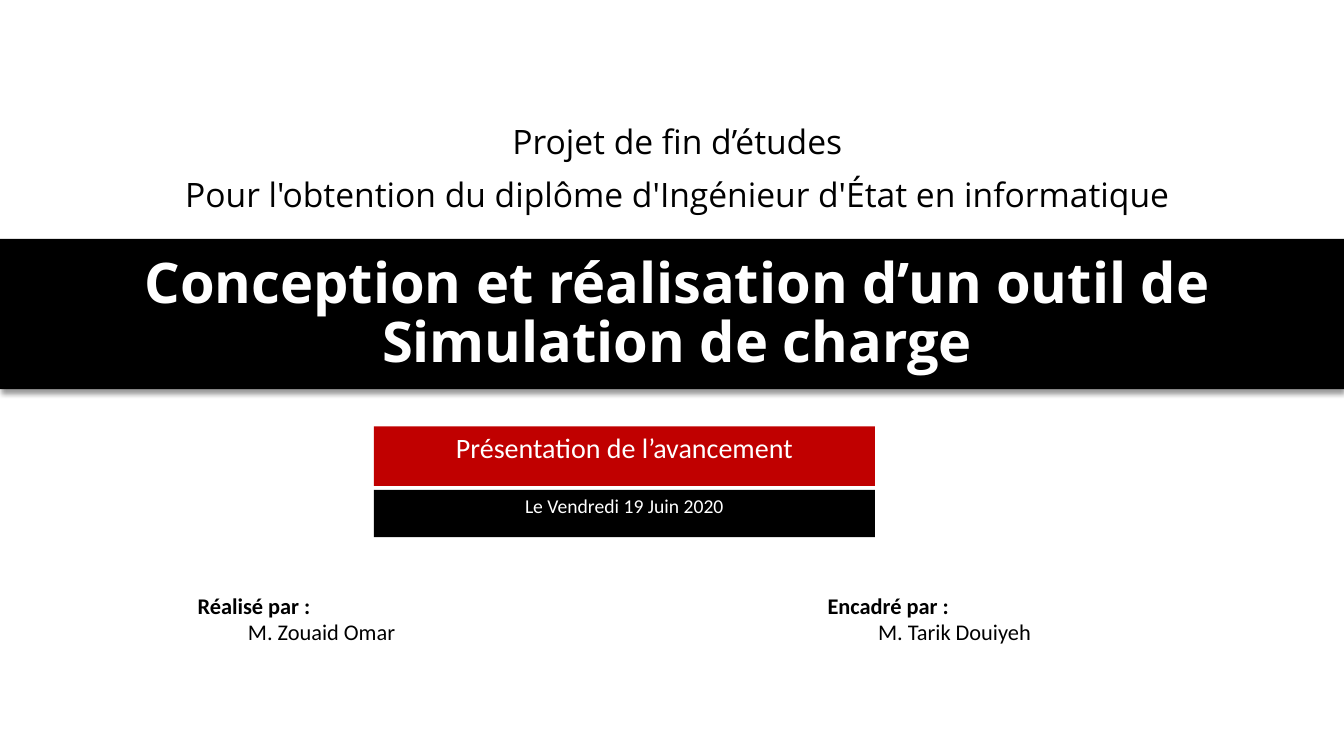
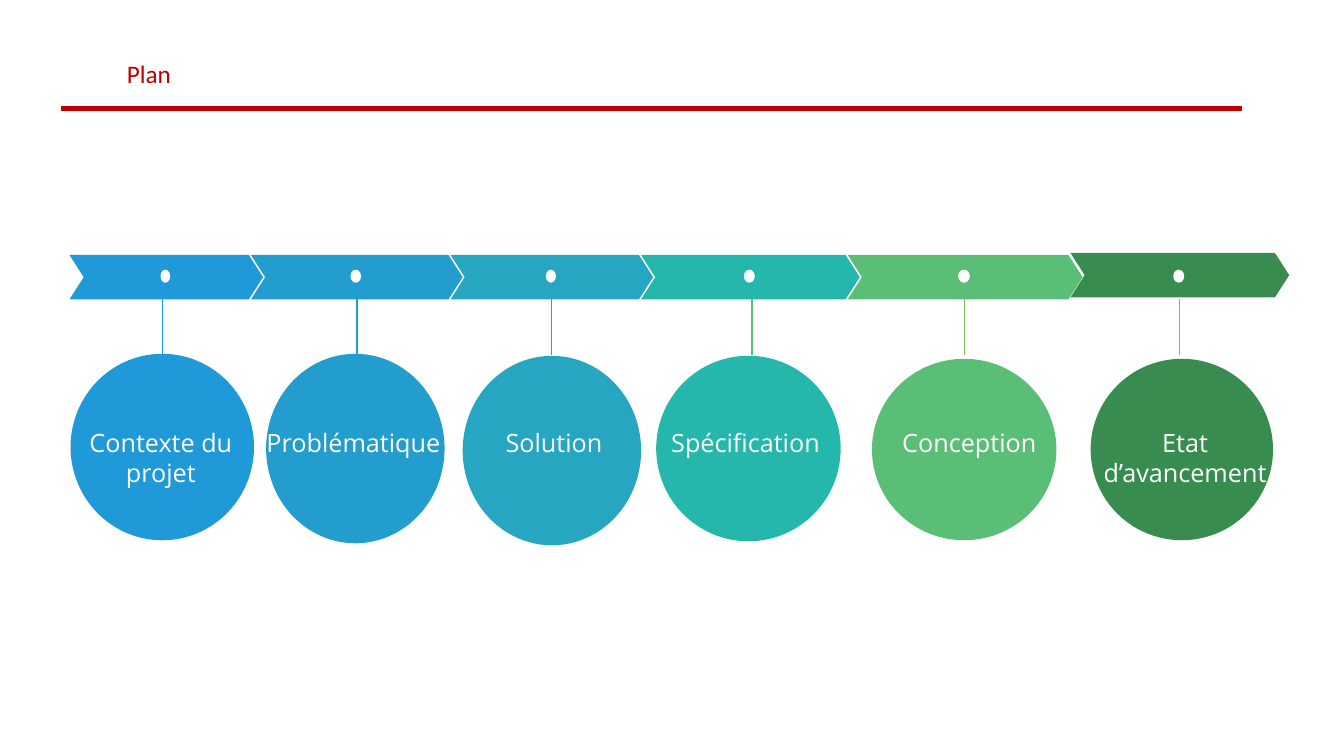
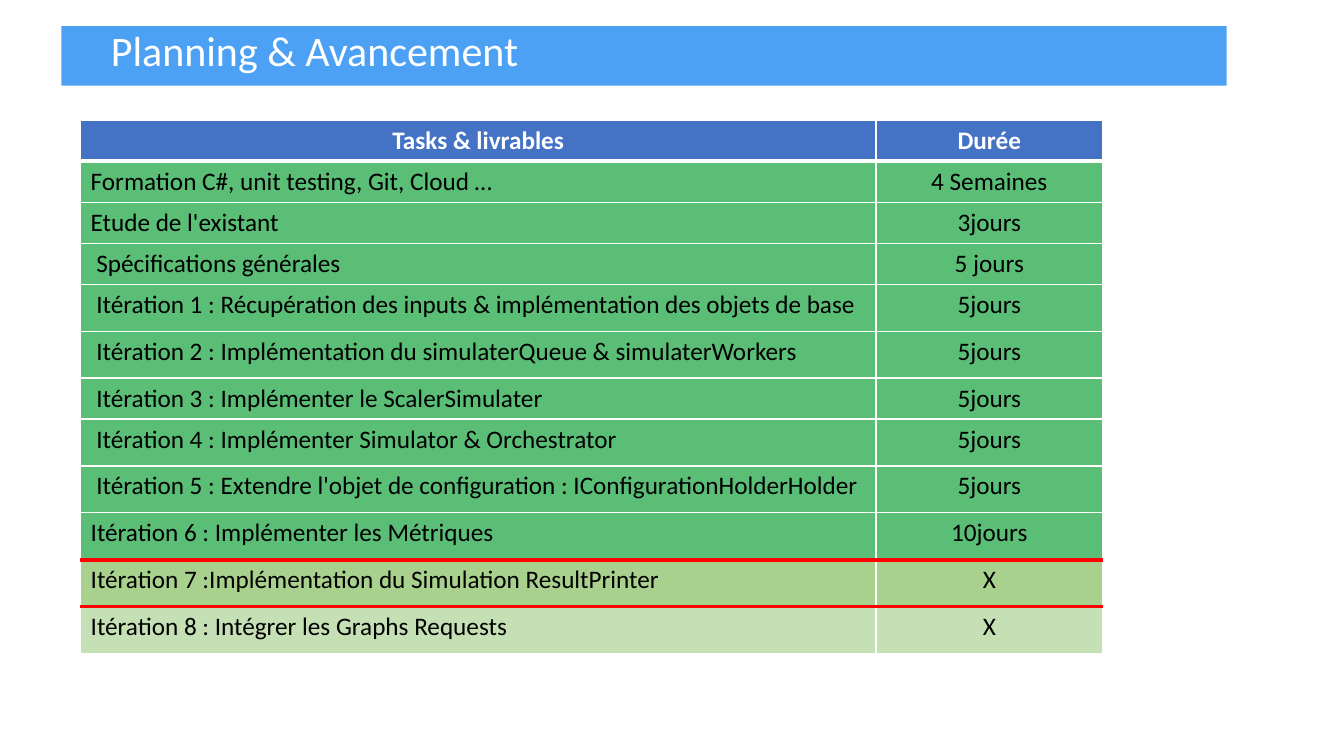
import collections

import lxml.etree
import pptx
import pptx.dml.color
import pptx.enum.shapes
import pptx.enum.text
import pptx.oxml.ns
import pptx.util

WIDTH = pptx.util.Inches(13.33)
HEIGHT = pptx.util.Inches(7.5)
COLUMNS, ROWS = 40, 30

WHITE = pptx.dml.color.RGBColor(0xFF, 0xFF, 0xFF)
BLACK = pptx.dml.color.RGBColor(0x00, 0x00, 0x00)
CRIMSON = pptx.dml.color.RGBColor(0xC0, 0x00, 0x00)
RED = pptx.dml.color.RGBColor(0xFF, 0x00, 0x00)
SKY = pptx.dml.color.RGBColor(0x4C, 0xA1, 0xF4)
HEADER_BLUE = pptx.dml.color.RGBColor(0x44, 0x72, 0xC4)
AZURE = pptx.dml.color.RGBColor(0x20, 0x99, 0xD8)
OCEAN = pptx.dml.color.RGBColor(0x23, 0x9C, 0xCE)
LAGOON = pptx.dml.color.RGBColor(0x27, 0xA6, 0xC2)
TEAL = pptx.dml.color.RGBColor(0x25, 0xB7, 0xAB)
GREEN = pptx.dml.color.RGBColor(0x5B, 0xBE, 0x77)
FOREST = pptx.dml.color.RGBColor(0x38, 0x8C, 0x50)
LIME = pptx.dml.color.RGBColor(0x7E, 0xC4, 0x4E)
SAGE = pptx.dml.color.RGBColor(0xA9, 0xD1, 0x8E)
PALE_GREEN = pptx.dml.color.RGBColor(0xC5, 0xE0, 0xB4)

SHAPE = pptx.enum.shapes.MSO_SHAPE
ALIGN = pptx.enum.text.PP_ALIGN
ANCHOR = pptx.enum.text.MSO_ANCHOR

HEADING = {"line_spacing": 0.9}
CENTERED = {"alignment": ALIGN.CENTER}


def margins(horizontal, vertical):
    return {
        "margin_left": pptx.util.Inches(horizontal),
        "margin_right": pptx.util.Inches(horizontal),
        "margin_top": pptx.util.Inches(vertical),
        "margin_bottom": pptx.util.Inches(vertical),
    }


TIGHT = margins(0.04, 0.04)
BOTTOM = {"vertical_anchor": ANCHOR.BOTTOM}

Stage = collections.namedtuple(
    "Stage", "name color stem_color chevron_width chevron_row circle stem_column label_center"
)
STAGES = [
    Stage("Contexte du projet", AZURE, AZURE, 5.76, 10.12, (2.1, 14.04, 5.46, 7.4), 4.83, 4.79),
    Stage("Problématique", OCEAN, OCEAN, 6.3, 10.12, (7.92, 14.04, 5.31, 7.52), 10.62, 10.52),
    Stage("Solution", LAGOON, LAGOON, 6.03, 10.12, (13.77, 14.12, 5.31, 7.52), 16.41, 16.49),
    Stage("Spécification", TEAL, GREEN, 6.51, 10.12, (19.53, 14.12, 5.49, 7.36), 22.38, 22.19),
    Stage("Conception", GREEN, LIME, 6.99, 10.12, (25.95, 14.24, 5.49, 7.2), 28.71, 28.85),
    Stage("Etat d’avancement", FOREST, LIME, 6.51, 10.04, (32.46, 14.24, 5.43, 7.2), 35.1, 35.27),
]

SHORT, TALL = 1.63, 1.86
TASKS = [
    ("Tasks & livrables", "Durée", SHORT, HEADER_BLUE),
    ("Formation C#, unit testing, Git, Cloud …", "4 Semaines", SHORT, GREEN),
    ("Etude de l'existant", "3jours", SHORT, GREEN),
    (" Spécifications générales", "5 jours", SHORT, GREEN),
    (" Itération 1 : Récupération des inputs & implémentation des objets de base", "5jours", TALL, GREEN),
    (" Itération 2 : Implémentation du simulaterQueue & simulaterWorkers", "5jours", TALL, GREEN),
    (" Itération 3 : Implémenter le ScalerSimulater", "5jours", SHORT, GREEN),
    (" Itération 4 : Implémenter Simulator & Orchestrator", "5jours", TALL, GREEN),
    (" Itération 5 : Extendre l'objet de configuration : IConfigurationHolderHolder", "5jours", TALL, GREEN),
    ("Itération 6 : Implémenter les Métriques", "10jours", TALL, GREEN),
    ("Itération 7 :Implémentation du Simulation ResultPrinter", "X", TALL, SAGE),
    ("Itération 8 : Intégrer les Graphs Requests", "X", TALL, PALE_GREEN),
]
THIN_EDGE = (WHITE, 1)
HEAVY_EDGES = {1: (WHITE, 3), 10: (RED, 3), 11: (RED, 3)}


def across(columns):
    return round(WIDTH * columns / COLUMNS)


def down(rows):
    return round(HEIGHT * rows / ROWS)


def place(box):
    column, row, width, height = box
    return across(column), down(row), across(width), down(height)


def apply(target, values):
    for name, value in values.items():
        setattr(target, name, value)


def add_xml(parent, tag, **attributes):
    return lxml.etree.SubElement(parent, pptx.oxml.ns.qn(tag), attributes)


def font_of(size, name="Calibri", bold=False):
    return {"size": pptx.util.Pt(size), "name": name, "bold": bold}


def write(frame, lines, font, color, paragraph_format=None, frame_format=None):
    apply(frame, {"word_wrap": True, "vertical_anchor": ANCHOR.TOP, **(frame_format or {})})
    for index, line in enumerate(lines):
        paragraph = frame.paragraphs[0] if index == 0 else frame.add_paragraph()
        apply(paragraph, {"alignment": ALIGN.LEFT, **(paragraph_format or {})})
        run = paragraph.add_run()
        run.text = line
        apply(run.font, font)
        run.font.color.rgb = color
    return frame


def add_text(slide, box, *text):
    return write(slide.shapes.add_textbox(*place(box)).text_frame, *text)


def add_panel(slide, box, fill, kind=SHAPE.RECTANGLE):
    panel = slide.shapes.add_shape(kind, *place(box))
    panel.shadow.inherit = False
    panel.fill.solid()
    panel.fill.fore_color.rgb = fill
    panel.line.fill.background()
    return panel


def add_line(slide, start, end, color, weight):
    line = slide.shapes.add_connector(
        pptx.enum.shapes.MSO_CONNECTOR.STRAIGHT,
        across(start[0]), down(start[1]), across(end[0]), down(end[1]),
    )
    line.line.color.rgb = color
    line.line.width = pptx.util.Pt(weight)
    add_xml(line.element.spPr, "a:effectLst")


def cast_shadow(panel):
    effects = panel.element.spPr.find(pptx.oxml.ns.qn("a:effectLst"))
    shadow = add_xml(
        effects, "a:outerShdw", blurRad="50800", dist="38100", dir="5400000", algn="t", rotWithShape="0"
    )
    add_xml(add_xml(shadow, "a:srgbClr", val=str(BLACK)), "a:alpha", val="40000")


def add_credit(slide, box, role, person):
    credit = add_text(slide, box, [role, "\t" + person], font_of(16), BLACK, None, TIGHT)
    credit.paragraphs[0].runs[0].font.bold = True


def add_stage(slide, stage, chevron_column):
    chevron_box = (chevron_column, stage.chevron_row, stage.chevron_width, 1.76)
    add_panel(slide, chevron_box, stage.color, SHAPE.CHEVRON).adjustments[0] = 0.32
    dot_box = (chevron_column + 0.47 * stage.chevron_width, 10.7, 0.05 * stage.chevron_width, 0.52)
    add_panel(slide, dot_box, WHITE, SHAPE.OVAL)
    add_panel(slide, stage.circle, stage.color, SHAPE.OVAL)
    add_line(slide, (stage.stem_column, 14.08), (stage.stem_column, 11.88), stage.stem_color, 1)
    label_width = 6.51
    label_box = (stage.label_center - label_width / 2, 16.76, label_width, 1.6)
    add_text(slide, label_box, [stage.name], font_of(18, "Open Sans"), WHITE, CENTERED)


def edge_cell(cell, edges):
    properties = cell._tc.get_or_add_tcPr()
    for side, (color, weight) in edges.items():
        edge = add_xml(properties, "a:ln" + side, w=str(pptx.util.Pt(weight)))
        add_xml(add_xml(edge, "a:solidFill"), "a:srgbClr", val=str(color))


def add_tasks(slide, column, row, widths):
    heights = [task[2] for task in TASKS]
    box = (column, row, sum(widths), sum(heights))
    table = slide.shapes.add_table(len(TASKS), len(widths), *place(box)).table
    for table_column, width in zip(table.columns, widths):
        table_column.width = across(width)
    for index, (task, duration, height, fill) in enumerate(TASKS):
        table.rows[index].height = down(height)
        header = index == 0
        edges = {
            "L": THIN_EDGE,
            "R": THIN_EDGE,
            "T": HEAVY_EDGES.get(index, THIN_EDGE),
            "B": HEAVY_EDGES.get(index + 1, THIN_EDGE),
        }
        for position, wording in enumerate((task, duration)):
            cell = table.cell(index, position)
            edge_cell(cell, edges)
            cell.fill.solid()
            cell.fill.fore_color.rgb = fill
            write(
                cell.text_frame, [wording], font_of(18, bold=header), WHITE if header else BLACK,
                CENTERED if header or position else None,
            )


def build_cover(slide):
    cast_shadow(add_panel(slide, (0, 9.48, COLUMNS, 5.96), BLACK))
    add_text(
        slide, (2.22, 8.88, 35.85, 6.48),
        ["Conception et réalisation d’un outil de Simulation de charge"],
        font_of(40, "Open Sans", True), WHITE,
        {**CENTERED, "line_spacing": 0.88}, {**margins(0.27, 0.13), **BOTTOM},
    )
    purpose = write(
        add_panel(slide, (5.16, 4.6, 30, 4.36), WHITE).text_frame,
        ["Projet de fin d’études", "Pour l'obtention du diplôme d'Ingénieur d'État en informatique"],
        font_of(24, "Open Sans"), BLACK, CENTERED,
    )
    purpose.paragraphs[1].space_before = pptx.util.Pt(9)
    for row, height, fill, wording, size in (
        (16.92, 2.36, CRIMSON, "Présentation de l’avancement", 20),
        (19.44, 1.88, BLACK, "Le Vendredi 19 Juin 2020", 14),
    ):
        panel = add_panel(slide, (11.13, row, 14.91, height), fill)
        write(panel.text_frame, [wording], font_of(size), WHITE, CENTERED, TIGHT)
    add_credit(slide, (5.76, 23.32, 8.43, 2.76), "Réalisé par :", "M. Zouaid Omar")
    add_credit(slide, (24.51, 23.32, 12.54, 2.76), "Encadré par :", "M. Tarik Douiyeh")


def build_plan(slide):
    add_text(slide, (3.48, 0.2, 35.13, 3.52), ["Plan"], font_of(18), CRIMSON, HEADING, BOTTOM)
    add_line(slide, (1.83, 4.32), (36.96, 4.32), CRIMSON, 3.5)
    chevron_column, overlap = 2.07, 0.36
    for stage in STAGES:
        add_stage(slide, stage, chevron_column)
        chevron_column += stage.chevron_width - overlap


def build_planning(slide):
    add_panel(slide, (1.83, 1.04, 34.68, 2.36), SKY)
    add_text(
        slide, (3.3, 1.04, 17.85, 1.96), ["Planning & Avancement"],
        font_of(30), WHITE, HEADING, {**margins(0, 0), **BOTTOM},
    )
    add_tasks(slide, 2.4, 4.76, (23.67, 6.75))


def main():
    deck = pptx.Presentation()
    apply(deck, {"slide_width": WIDTH, "slide_height": HEIGHT})
    for build in (build_cover, build_plan, build_planning):
        build(deck.slides.add_slide(deck.slide_layouts[6]))
    deck.save("out.pptx")


if __name__ == "__main__":
    main()
